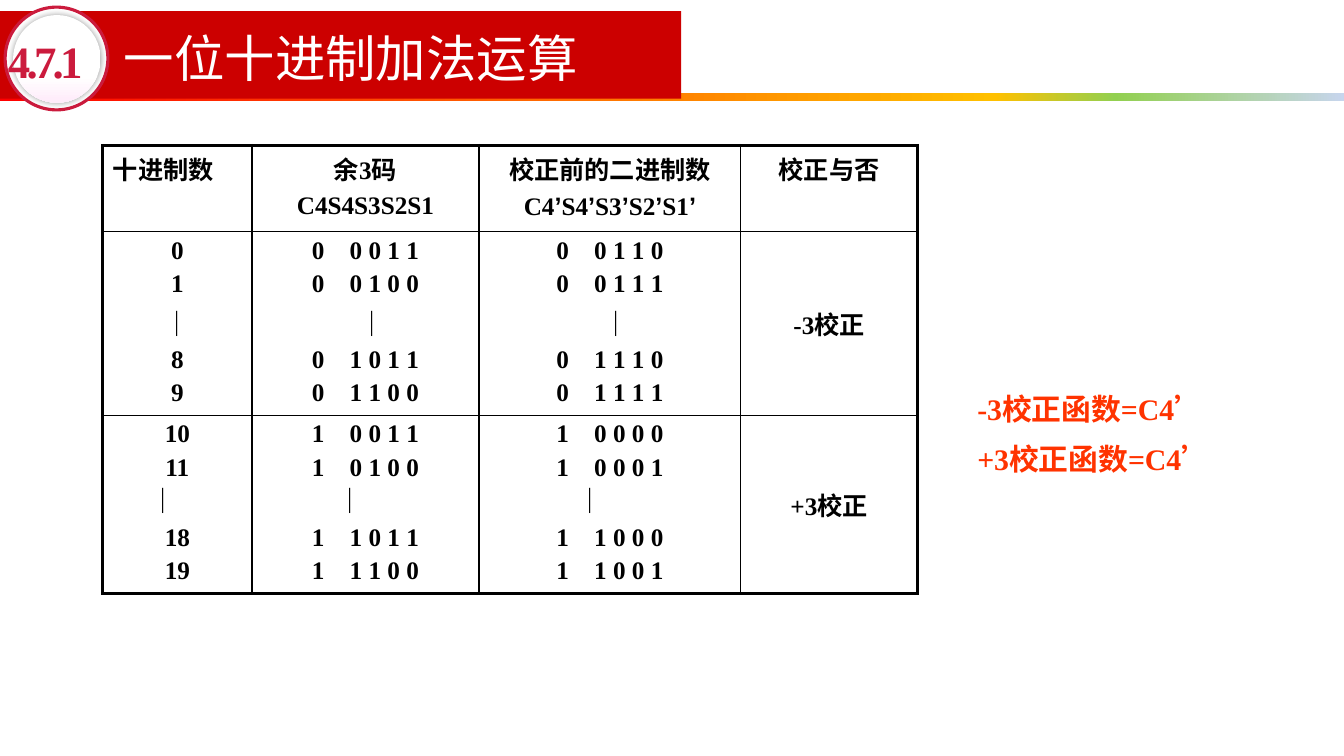
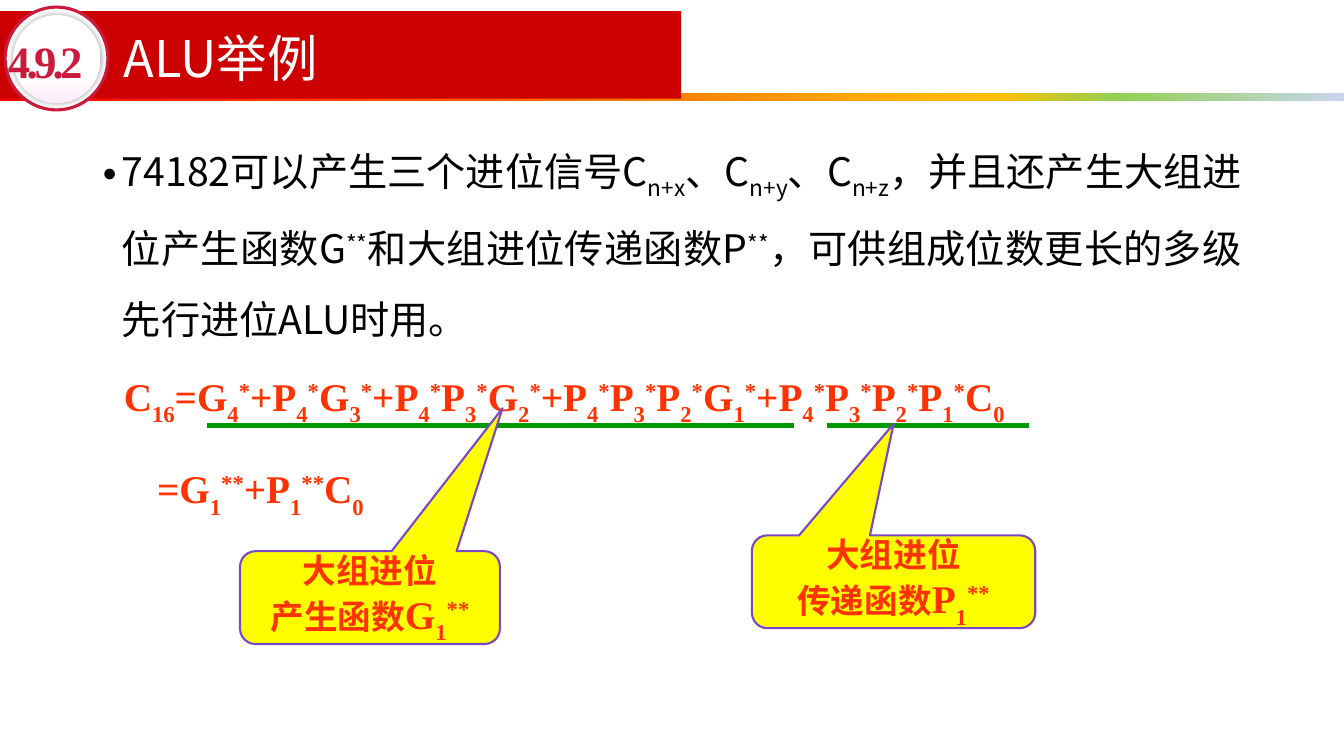
"""Builds two slides on decimal addition and an ALU example."""
from pptx import Presentation
from pptx.dml.color import RGBColor
from pptx.enum.shapes import MSO_CONNECTOR as Connector, MSO_SHAPE as Preset
from pptx.enum.text import MSO_ANCHOR as Anchor, MSO_AUTO_SIZE as AutoSize, PP_ALIGN as Align
from pptx.oxml import parse_xml
from pptx.oxml.ns import nsdecls, qn
from pptx.util import Cm, Pt
from lxml.etree import SubElement

RED = RGBColor(0xCC, 0x00, 0x00)
CRIMSON = RGBColor(0xCB, 0x1B, 0x3D)
ORANGE = RGBColor(0xFF, 0x33, 0x00)
GREEN = RGBColor(0x00, 0x99, 0x00)
YELLOW = RGBColor(0xFF, 0xFF, 0x00)
PURPLE = RGBColor(0x7A, 0x48, 0xC4)
BLACK = RGBColor(0x00, 0x00, 0x00)
WHITE = RGBColor(0xFF, 0xFF, 0xFF)
SANS = "Noto Sans CJK SC"
SERIF = "Times New Roman"


def add_text(paragraph, markup, size, color, font=SERIF, bold=True, low=-30, spacing=0):
    """Adds runs split at |, where _ lowers a run and ^ raises it."""
    for part in filter(None, markup.split("|")):
        run = paragraph.add_run()
        run.text = part.lstrip("_^")
        run.font.size = Pt(size)
        run.font.bold = bold
        run.font.color.rgb = color
        run.font.name = "Arial" if part == "’" else font
        properties = run.font._element
        SubElement(properties, qn("a:ea")).set("typeface", SANS)
        if part[0] in "_^":
            properties.set("baseline", str(1000 * (low if part[0] == "_" else 30)))
        if spacing:
            properties.set("spc", str(round(100 * spacing)))


def set_gradient(shape, stops, angle):
    """Fills a shape with a linear gradient of (percent, colour) stops."""
    shape.fill.background()
    properties = shape._element.spPr
    marks = "".join(f'<a:gs pos="{percent * 1000}"><a:srgbClr val="{color}"/></a:gs>'
                    for percent, color in stops)
    properties.replace(properties.find(qn("a:noFill")), parse_xml(
        f'<a:gradFill {nsdecls("a")}><a:gsLst>{marks}</a:gsLst>'
        f'<a:lin ang="{angle * 60000}" scaled="0"/></a:gradFill>'))


presentation = Presentation()
presentation.slide_width, presentation.slide_height = Cm(33.87), Cm(19.05)
layout = presentation.slide_layouts[3]
for placeholder, box in zip(layout.placeholders, (
        (2.87, 0.51, 18.9, 2.08), (0.2, 0.84, 2.36, 1.37), (2.34, 2.92, 29.21, 13.82))):
    placeholder.left, placeholder.top, placeholder.width, placeholder.height = map(Cm, box)

slides = []
for number, heading in (("4.7.1", "一位十进制加法运算"), ("4.9.2", "ALU举例")):
    slide = presentation.slides.add_slide(layout)
    slides.append(slide)
    for placeholder in slide.placeholders:
        placeholder.text_frame.auto_size = AutoSize.NONE
    title, badge = slide.shapes.title.text_frame, slide.placeholders[1].text_frame
    title.vertical_anchor = badge.vertical_anchor = Anchor.MIDDLE
    title.paragraphs[0].alignment = Align.LEFT
    title.paragraphs[0].line_spacing = 0.9
    add_text(title.paragraphs[0], heading, 36, WHITE, SANS, False)
    badge.margin_left = badge.margin_right = badge.margin_top = badge.margin_bottom = 0
    badge.word_wrap = False
    badge.paragraphs[0].space_before = Pt(0)
    properties = badge.paragraphs[0]._p.get_or_add_pPr()
    properties.set("marL", "0")
    properties.set("indent", "0")
    SubElement(properties, qn("a:buNone"))
    add_text(badge.paragraphs[0], number, 32, CRIMSON, spacing=-2.7)
adder, alu = slides

decorations = []
for preset, box in ((Preset.RECTANGLE, (0, 2.34, 33.87, 0.2)),
                    (Preset.RECTANGLE, (0, 0.28, 17.17, 2.21)),
                    (Preset.OVAL, (0.13, 0.18, 2.59, 2.59)),
                    (Preset.OVAL, (0.33, 0.38, 2.21, 2.21))):
    shape = adder.shapes.add_shape(preset, *map(Cm, box))
    shape.shadow.inherit = False
    shape.line.fill.background()
    decorations.append(shape)
rainbow, band, ring, disc = decorations
set_gradient(rainbow, ((0, "FF0000"), (74, "FFC000"), (83, "92D050"), (100, "C7D5ED")), 0)
for shape, color in ((band, RED), (ring, WHITE)):
    shape.fill.solid()
    shape.fill.fore_color.rgb = color
ring.line.color.rgb = CRIMSON
ring.line.width = Pt(2.25)
set_gradient(disc, ((0, "FFFFFF"), (70, "FFFFFF"), (100, "FFEBFA")), 90)
disc._element.spPr.find(qn("a:effectLst")).append(parse_xml(
    f'<a:outerShdw {nsdecls("a")} blurRad="63500" dist="0" dir="0"><a:srgbClr val="000000">'
    '<a:alpha val="40000"/></a:srgbClr></a:outerShdw>'))
for position, shape in enumerate(decorations, 2):
    layout.shapes.element.insert(position, shape._element)

unused = adder.placeholders[2]._element
unused.getparent().remove(unused)

code_rows = [
    [["十进制数"], ["余3码", "C4S4S3S2S1"],
     ["校正前的二进制数", "C4|’|S4|’|S3|’|S2|’|S1|’"], ["校正与否"]],
    [["0", "1", "｜", "8", "9"],
     ["0 0 0 1 1", "0 0 1 0 0", "｜", "0 1 0 1 1", "0 1 1 0 0"],
     ["0 0 1 1 0", "0 0 1 1 1", "｜", "0 1 1 1 0", "0 1 1 1 1"], ["-3校正"]],
    [["10", "11", "｜", "18", "19"],
     ["1 0 0 1 1", "1 0 1 0 0", "｜", "1 1 0 1 1", "1 1 1 0 0"],
     ["1 0 0 0 0", "1 0 0 0 1", "｜", "1 1 0 0 0", "1 1 0 0 1"], ["+3校正"]],
]
bar_indents = {1: (0, 9, 9), 2: (27, 54, 63)}
column_widths = (3.76, 5.72, 6.6, 4.45)
row_heights = (2.18, 4.62, 4.5)
table = adder.shapes.add_table(3, 4, Cm(2.59), Cm(3.66), Cm(sum(column_widths)),
                               Cm(sum(row_heights))).table
table.first_row = table.horz_banding = False
for column, width in zip(table.columns, column_widths):
    column.width = Cm(width)
for row, height in zip(table.rows, row_heights):
    row.height = Cm(height)
for row_index, row in enumerate(code_rows):
    for column_index, lines in enumerate(row):
        cell = table.cell(row_index, column_index)
        if row_index and column_index == 3:
            cell.vertical_anchor = Anchor.MIDDLE
        for line_index, line in enumerate(lines):
            frame = cell.text_frame
            paragraph = frame.add_paragraph() if line_index else frame.paragraphs[0]
            paragraph.alignment = Align.CENTER
            paragraph.space_before = Pt(4)
            if row_index == column_index == 0:
                paragraph.alignment = Align.LEFT
            if line == "｜":
                indent = Pt(bar_indents[row_index][column_index])
                paragraph._p.get_or_add_pPr().set("marL", str(indent))
                if row_index == 2:
                    paragraph.alignment = Align.LEFT
                    paragraph.space_before = Pt(0)
            if " " in line:
                add_text(paragraph, line[0], 18, BLACK, spacing=13.5)
                line = line[1:]
            add_text(paragraph, line, 18, BLACK)
        outer_sides = {"lnL": column_index == 0, "lnR": column_index == 3,
                       "lnT": row_index == 0, "lnB": row_index == 2}
        for side, is_outer in outer_sides.items():
            cell._tc.get_or_add_tcPr().append(parse_xml(
                f'<a:{side} {nsdecls("a")} w="{Pt(2.25 if is_outer else 1)}"><a:solidFill>'
                f'<a:srgbClr val="{BLACK}"/></a:solidFill></a:{side}>'))
        cell.fill.background()

frame = adder.shapes.add_textbox(Cm(24.38), Cm(9.35), Cm(7.7), Cm(2.74)).text_frame
frame.word_wrap = True
for paragraph, sign in zip((frame.paragraphs[0], frame.add_paragraph()), "-+"):
    paragraph.alignment = Align.JUSTIFY
    paragraph.line_spacing = 1.4
    add_text(paragraph, f"{sign}3校正函数=C4|’", 21.3, ORANGE)

paragraph = alu.placeholders[2].text_frame.paragraphs[0]
paragraph.alignment = Align.JUSTIFY
paragraph.line_spacing = 1.5
paragraph.space_before = Pt(0)
properties = paragraph._p.get_or_add_pPr()
properties.set("marL", str(Cm(0.48)))
properties.set("indent", str(-Cm(0.48)))
add_text(paragraph, "74182可以产生三个进位信号C|_n+x|、C|_n+y|、C|_n+z|，并且还产生大组进位产生函数G|^**"
         "|和大组进位传递函数P|^**|，可供组成位数更长的多级先行进位ALU时用。",
         28, BLACK, SANS, False, low=-25)

products = ("G4", "P4 G3", "P4 P3 G2", "P4 P3 P2 G1", "P4 P3 P2 P1")
carry = "+".join("".join(f"{name}|_{index}|^*|" for name, index in product.split())
                 for product in products)
frame = alu.shapes.add_textbox(Cm(2.87), Cm(9.25), Cm(25.4), Cm(1.32)).text_frame
frame.word_wrap = True
frame.paragraphs[0].line_spacing = 0.9
add_text(frame.paragraphs[0], f"C|_16|=|{carry}C|_0", 28, ORANGE)

for start, end in ((5.21, 20.02), (20.85, 25.93)):
    underline = alu.shapes.add_connector(Connector.STRAIGHT, Cm(start), Cm(10.72),
                                         Cm(end), Cm(10.72))
    underline.line.color.rgb = GREEN
    underline.line.width = Pt(3)
    SubElement(underline._element.spPr, qn("a:effectLst"))

for left, top, width, pointer, label, symbol in (
        (6.05, 13.89, 6.55, (0.51, -2.04), "产生函数", "G"),
        (18.95, 13.49, 7.14, (0, -1.7), "传递函数", "P")):
    callout = alu.shapes.add_shape(Preset.ROUNDED_RECTANGULAR_CALLOUT,
                                   Cm(left), Cm(top), Cm(width), Cm(2.34))
    callout.adjustments[0], callout.adjustments[1] = pointer
    callout.shadow.inherit = False
    callout.fill.solid()
    callout.fill.fore_color.rgb = YELLOW
    callout.line.color.rgb = PURPLE
    callout.line.width = Pt(1.5)
    frame = callout.text_frame
    frame.vertical_anchor = Anchor.MIDDLE
    first, second = frame.paragraphs[0], frame.add_paragraph()
    first.alignment = second.alignment = Align.CENTER
    add_text(first, "大组进位", 24, ORANGE)
    add_text(second, label, 24, ORANGE)
    add_text(second, f"{symbol}|_1|^**", 28, ORANGE)

frame = alu.shapes.add_textbox(Cm(3.71), Cm(11.58), Cm(6.1), Cm(1.45)).text_frame
frame.word_wrap = True
add_text(frame.paragraphs[0], "=G|_1|^**|+P|_1|^**|C|_0", 28, ORANGE)

presentation.save("out.pptx")
